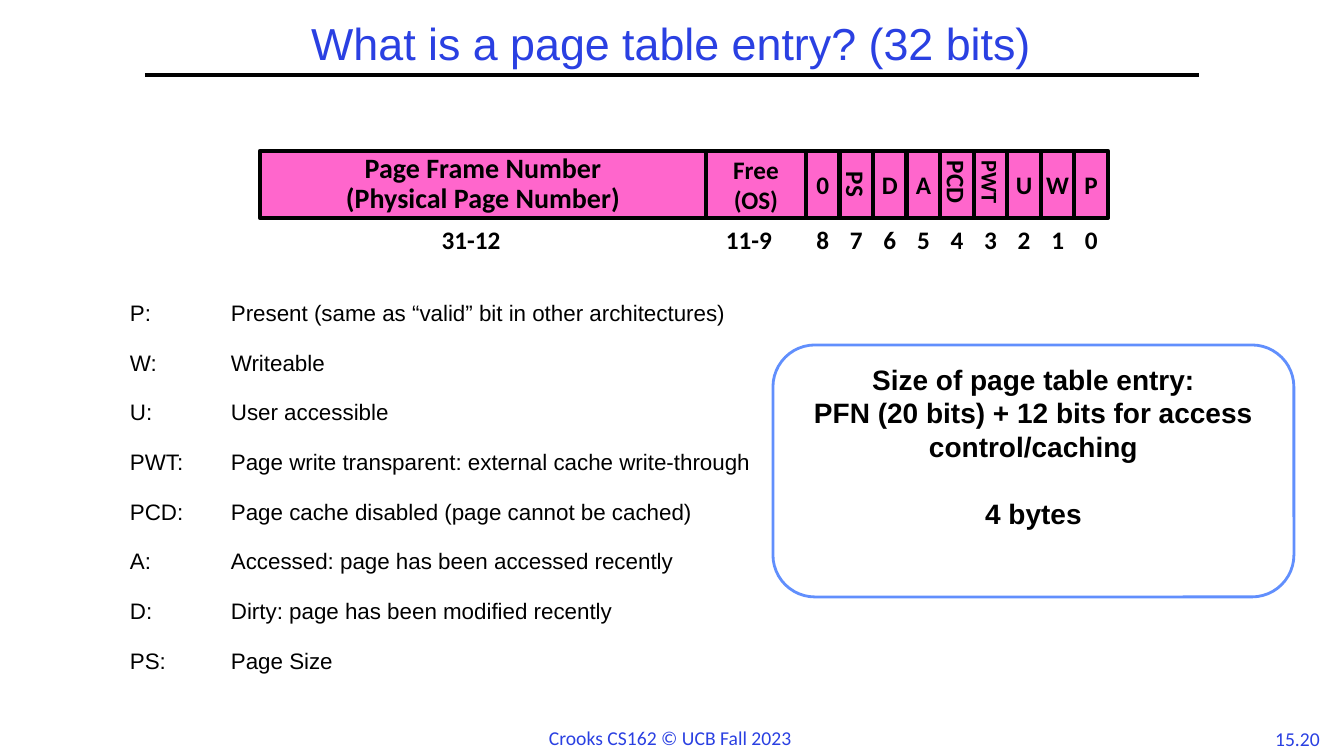
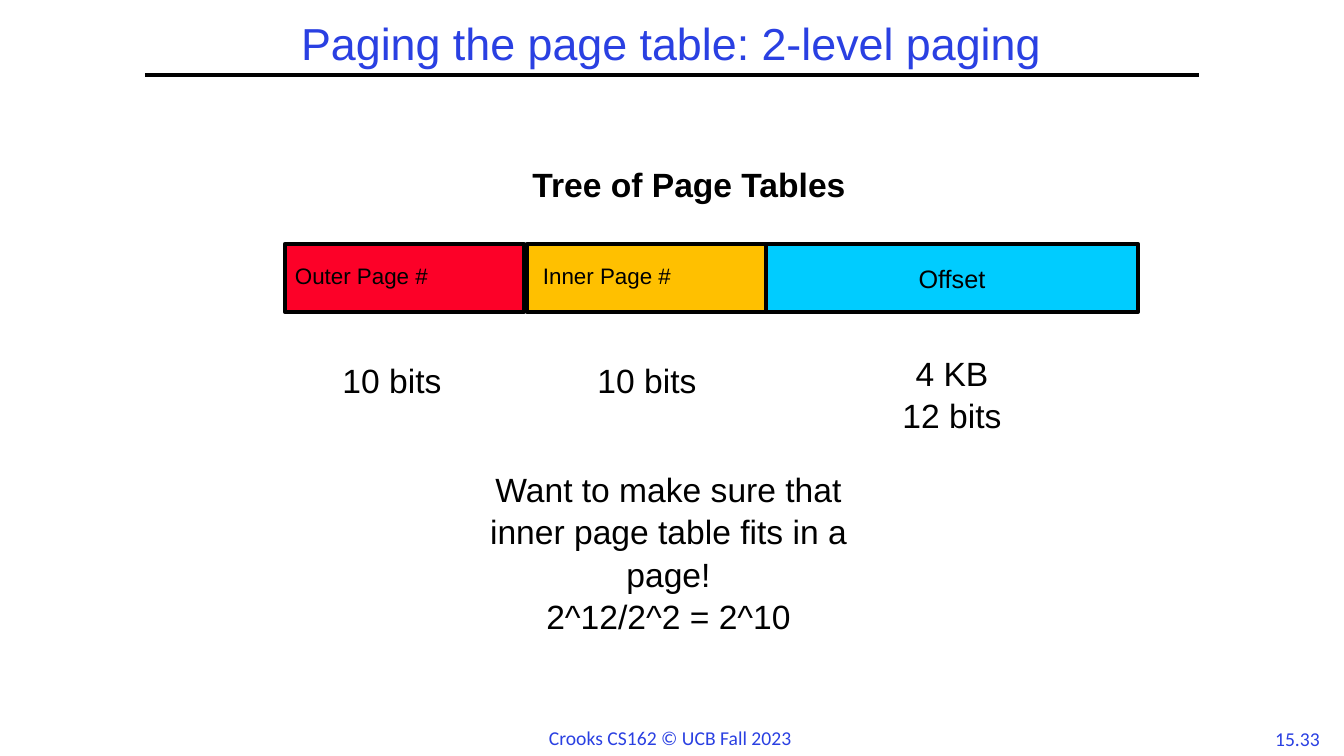
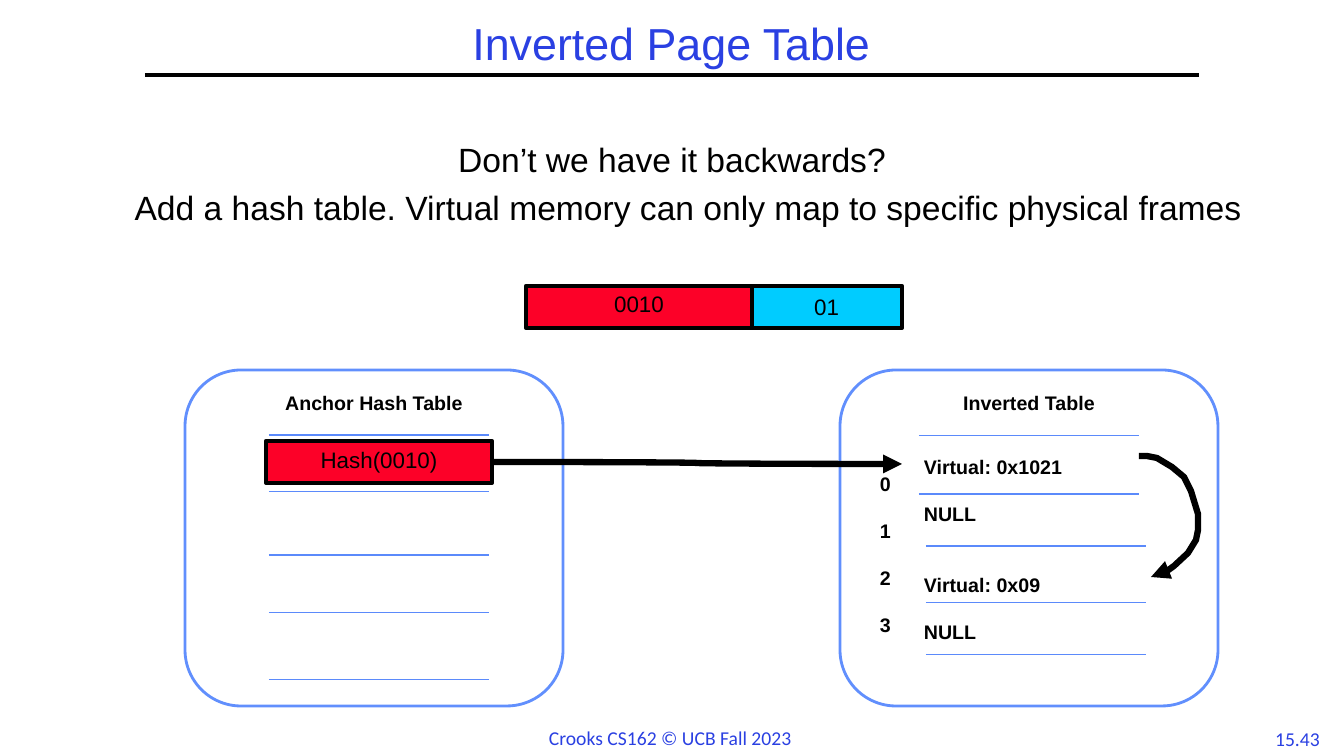
from lxml.etree import SubElement
from pptx import Presentation
from pptx.dml.color import RGBColor
from pptx.enum.shapes import MSO_CONNECTOR, MSO_SHAPE
from pptx.enum.text import MSO_ANCHOR, PP_ALIGN
from pptx.oxml.ns import qn
from pptx.util import Emu, Pt

SCALE = 914400 / 100.8
COLORS = {
    "black": "000000", "white": "FFFFFF", "title": "2A40E2", "pink": "FF66CC",
    "red": "FC0128", "amber": "FFC000", "cyan": "00CCFF", "panel": "618FFD",
    "divider": "5B8AFB",
}
FOOTER = "Crooks CS162 © UCB Fall 2023"

CENTER = {"alignment": PP_ALIGN.CENTER}
TIGHT = {"alignment": PP_ALIGN.CENTER, "line_spacing": 0.75}
TIGHT_LEFT = {"alignment": PP_ALIGN.LEFT, "line_spacing": 0.75}
LOOSE = {"alignment": PP_ALIGN.CENTER, "line_spacing": 1.05}
TITLE = {"alignment": PP_ALIGN.CENTER, "line_spacing": 0.9}
MIDDLE = {"vertical_anchor": MSO_ANCHOR.MIDDLE}
UNWRAPPED = {"vertical_anchor": MSO_ANCHOR.MIDDLE, "word_wrap": False}
CALIBRI = {"name": "Calibri", "size": Pt(18), "bold": True}
SMALL = {"name": "Calibri", "size": Pt(14)}
BOLD = {"size": Pt(14), "bold": True}

ENTRY_TOP, ENTRY_HEIGHT = 151, 67
WIDE_FIELDS = [
    (260, 446, ["Page Frame Number", "(Physical Page Number)"], 20, 0.9, "31-12", 471),
    (706, 100, ["Free", "(OS)"], 18, 1.0, "11-9", 749),
]
BITS_LEFT, BITS_WIDTH = 806, 302
BITS = [
    ("0", 18, None), ("PS", 18, "vert"), ("D", 18, None), ("A", 18, None),
    ("PCD", 18, "eaVert"), ("PWT", 16, "eaVert"), ("U", 18, None),
    ("W", 18, None), ("P", 18, None),
]
DEFINITIONS = [
    ("P:", "Present (same as “valid” bit in other architectures)"),
    ("W:", "Writeable"),
    ("U:", "User accessible"),
    ("PWT:", "Page write transparent: external cache write-through"),
    ("PCD:", "Page cache disabled (page cannot be cached)"),
    ("A:", "Accessed: page has been accessed recently"),
    ("D:", "Dirty: page has been modified recently"),
    ("PS:", "Page Size"),
]
ENTRY_SIZE = [
    "Size of page table entry:",
    "PFN (20 bits) + 12 bits for access control/caching",
    ("4 bytes", 24),
]

ADDRESS_FIELDS = [
    ("Offset", (766, 244, 372, 68), "cyan", 18, CENTER, 10),
    ("Outer Page #", (285, 244, 239, 68), "red", 16, TIGHT_LEFT, 10),
    ("Inner Page #", (527, 244, 239, 68), "amber", 16, TIGHT_LEFT, 16),
]
PAGING_NOTES = [
    ((206, 353, 372, 51), ["10 bits"]),
    ((461, 353, 372, 51), ["10 bits"]),
    ((766, 346, 372, 94), ["4 KB", "12 bits"]),
    ((471, 462, 395, 222), [
        "Want to make sure that inner page table fits in a page!",
        "2^12/2^2 = 2^10",
    ]),
]

QUESTIONS = [
    ((126, 134, 1092, 50), "Don’t we have it backwards?"),
    ((45, 182, 1286, 50),
     "Add a hash table. Virtual memory can only map to specific physical frames"),
]
PANELS = [
    ("Inverted Table", 840,
     [(919, 436), (919, 494), (926, 546), (926, 603), (926, 655)]),
    ("Anchor Hash Table", 185,
     [(269, 435), (269, 492), (269, 555), (269, 613), (269, 680)]),
]
DIVIDER_WIDTH = 220
INDEXES = ["0", ("1", 16.8), ("2", 16.8), ("3", 16.8)]
FRAMES = ["Virtual: 0x1021", ("NULL", 16.8), ("Virtual: 0x09", 33.6), ("NULL", 16.8)]
HASH_FIELDS = [
    ("01", (751, 286, 151, 42), "cyan", CENTER),
    ("0010", (526, 286, 226, 42), "red", TIGHT),
    ("Hash(0010)", (266, 441, 226, 42), "red", TIGHT),
]
CHAIN = [
    (1139, 456), (1147, 456), (1157, 458), (1172, 467), (1184, 477), (1191, 491),
    (1198, 514), (1198, 530), (1196, 540), (1188, 553), (1174, 566), (1167, 571),
    (1159, 576), (1151, 577),
]


def px(*lengths):
    """Turn pixel lengths into EMU."""
    return [Emu(round(length * SCALE)) for length in lengths]


def rgb(name):
    """Look up a named colour."""
    return RGBColor.from_string(COLORS[name])


def apply(target, formats):
    """Set every format value on the target."""
    for name, value in formats.items():
        setattr(target, name, value)


def write(shape, lines, font, layout=None, frame=None, color="black", tab=None):
    """Fill a shape with paragraphs; a line may carry its space before in points."""
    text_frame = shape.text_frame
    apply(text_frame, {"word_wrap": True, "vertical_anchor": MSO_ANCHOR.TOP} | (frame or {}))
    for index, line in enumerate(lines):
        text, space = line if isinstance(line, tuple) else (line, 0)
        paragraph = text_frame.add_paragraph() if index else text_frame.paragraphs[0]
        if tab:
            tabs = SubElement(paragraph._p.get_or_add_pPr(), qn("a:tabLst"))
            SubElement(tabs, qn("a:tab"), pos=str(px(tab)[0]), algn="l")
        apply(paragraph, {"alignment": PP_ALIGN.LEFT, "space_before": Pt(space)} | (layout or {}))
        run = paragraph.add_run()
        run.text = text
        apply(run.font, {"name": "Arial"} | font)
        run.font.color.rgb = rgb(color)


def add_text(slide, box, lines, font, **options):
    """Add a text box."""
    write(slide.shapes.add_textbox(*px(*box)), lines, font, **options)


def add_box(slide, box, fill, lines, font, kind=MSO_SHAPE.RECTANGLE,
            border=("black", 3), **options):
    """Add a filled and outlined shape with text."""
    shape = slide.shapes.add_shape(kind, *px(*box))
    shape.shadow.inherit = False
    shape.fill.solid()
    shape.fill.fore_color.rgb = rgb(fill)
    draw_line(shape, *border)
    write(shape, lines, font, **options)
    return shape


def add_panel(slide, box, lines, font):
    """Add a rounded white panel."""
    add_box(slide, box, "white", lines, font, kind=MSO_SHAPE.ROUNDED_RECTANGLE,
            border=("panel", 2), layout=CENTER)


def draw_line(shape, color, width, arrow=False):
    """Set the line colour and width, and an optional arrowhead."""
    shape.line.color.rgb = rgb(color)
    shape.line.width = Pt(width)
    if arrow:
        SubElement(shape._element.spPr.find(qn("a:ln")), qn("a:tailEnd"), type="triangle")


def add_line(slide, ends, color, width, kind=MSO_CONNECTOR.STRAIGHT, arrow=False):
    """Add a connector without a shadow."""
    connector = slide.shapes.add_connector(kind, *px(*ends))
    draw_line(connector, color, width, arrow)
    SubElement(connector._element.spPr, qn("a:effectLst"))
    return connector


def add_slide(presentation, title, number):
    """Add a slide with its title, rule, footer and number."""
    slide = presentation.slides.add_slide(presentation.slide_layouts[6])
    add_text(slide, (1263, 722, 69, 33), [number], SMALL, layout=CENTER,
             frame={"word_wrap": False}, color="title")
    add_line(slide, (145, 75, 1199, 75), "black", 3)
    add_text(slide, (539, 721, 265, 34), [FOOTER], SMALL,
             frame={"word_wrap": False}, color="title")
    add_text(slide, (145, 17, 1053, 58), [title], {"size": Pt(32)}, layout=TITLE,
             frame=MIDDLE, color="title")
    return slide


def add_bit_label(slide, center, label):
    """Add a bit number below the entry."""
    add_text(slide, (center - 43, 219, 86, 40), [label], CALIBRI, layout=CENTER)


def build_entry(presentation):
    """Build the page table entry slide."""
    slide = add_slide(presentation, "What is a page table entry? (32 bits)", "15.20")
    definitions = [(f"{label}\t{text}", 16.3 if index else 0)
                   for index, (label, text) in enumerate(DEFINITIONS)]
    add_text(slide, (120, 294, 650, 400), definitions, {"size": Pt(16)}, tab=101)
    for left, width, lines, size, spacing, label, center in WIDE_FIELDS:
        add_box(slide, (left, ENTRY_TOP, width, ENTRY_HEIGHT), "pink", lines,
                CALIBRI | {"size": Pt(size)}, layout=CENTER | {"line_spacing": spacing},
                frame=UNWRAPPED)
        add_bit_label(slide, center, label)
    width = BITS_WIDTH / len(BITS)
    for index, (name, size, direction) in enumerate(BITS):
        left = BITS_LEFT + index * width
        cell = add_box(slide, (left, ENTRY_TOP, width, ENTRY_HEIGHT), "pink", [name],
                       CALIBRI | {"size": Pt(size)}, layout=CENTER, frame=UNWRAPPED)
        if direction:
            cell.text_frame._txBody.bodyPr.set("vert", direction)
        add_bit_label(slide, left + width / 2, str(len(BITS) - 1 - index))
    add_panel(slide, (773, 345, 521, 252), ENTRY_SIZE, {"size": Pt(20), "bold": True})


def build_paging(presentation):
    """Build the two-level paging slide."""
    slide = add_slide(presentation, "Paging the page table: 2-level paging", "15.33")
    add_text(slide, (353, 159, 672, 50), ["Tree of Page Tables"],
             {"size": Pt(24), "bold": True}, layout=CENTER)
    for text, box, fill, size, layout, inset in ADDRESS_FIELDS:
        add_box(slide, box, fill, [text], {"size": Pt(size)}, layout=layout,
                frame=MIDDLE | {"margin_left": px(inset)[0]})
    for box, lines in PAGING_NOTES:
        add_text(slide, box, lines, {"size": Pt(24)}, layout=LOOSE)


def build_inverted(presentation):
    """Build the inverted page table slide."""
    slide = add_slide(presentation, "Inverted Page Table", "15.43")
    for box, text in QUESTIONS:
        add_text(slide, box, [text], {"size": Pt(24)}, layout=CENTER)
    for heading, panel_left, dividers in PANELS:
        add_panel(slide, (panel_left, 370, 378, 336), [heading], BOLD)
        for left, top in dividers:
            add_line(slide, (left, top, left + DIVIDER_WIDTH, top), "divider", 0.75)
    add_text(slide, (870, 467, 50, 176), INDEXES, BOLD)
    add_text(slide, (914, 450, 220, 200), FRAMES, BOLD)
    fields = {text: add_box(slide, box, fill, [text], {"size": Pt(16)}, layout=layout,
                            frame=MIDDLE)
              for text, box, fill, layout in HASH_FIELDS}
    lookup = add_line(slide, (492, 462, 902, 464), "black", 4.5,
                      kind=MSO_CONNECTOR.CURVE, arrow=True)
    lookup.begin_connect(fields["Hash(0010)"], 3)
    builder = slide.shapes.build_freeform(*CHAIN[0], scale=SCALE)
    builder.add_line_segments(CHAIN[1:], close=False)
    chain = builder.convert_to_shape()
    chain.shadow.inherit = False
    chain.fill.background()
    draw_line(chain, "black", 4.5, arrow=True)


def main():
    """Build and save the presentation."""
    presentation = Presentation()
    presentation.slide_width, presentation.slide_height = px(1344, 756)
    build_entry(presentation)
    build_paging(presentation)
    build_inverted(presentation)
    presentation.save("out.pptx")


if __name__ == "__main__":
    main()
